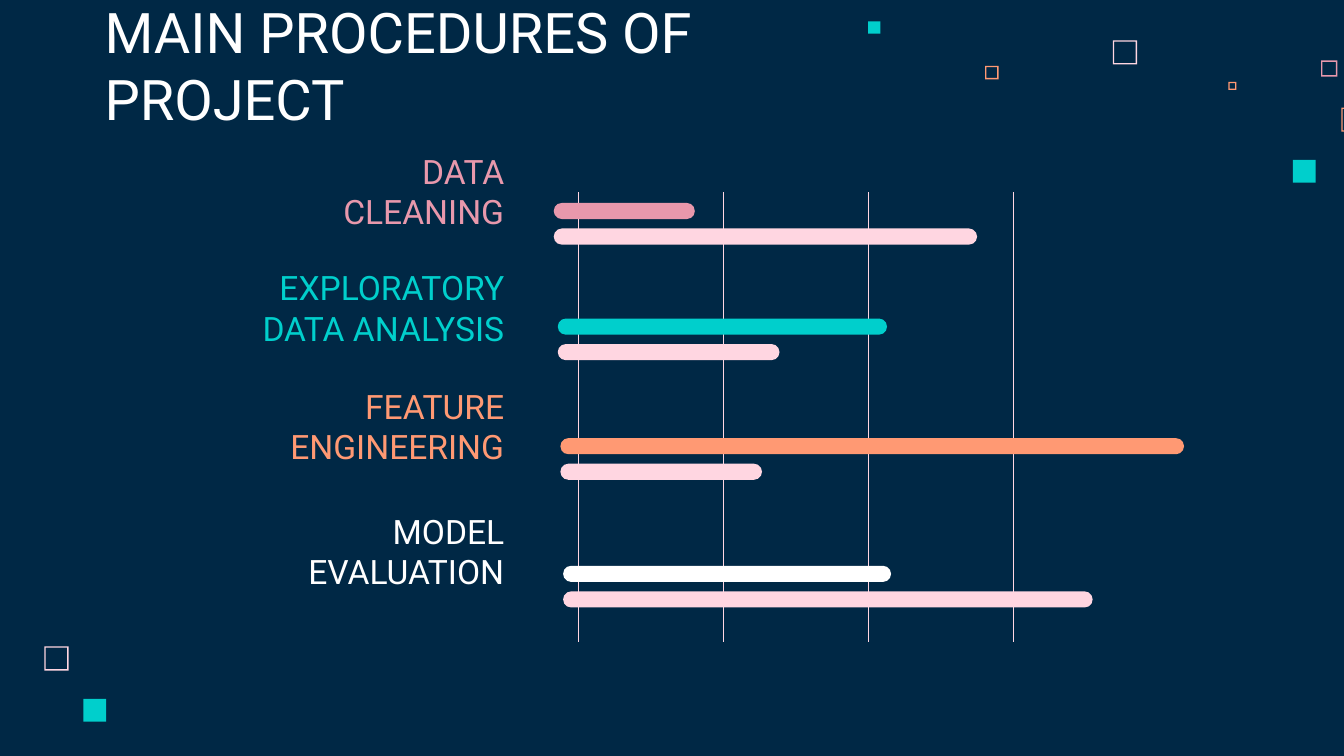
import pptx
import pptx.util
import pptx.dml.color
import pptx.enum.shapes
import pptx.enum.text
import pptx.oxml.ns
import lxml.etree

Inches, Pt = pptx.util.Inches, pptx.util.Pt
SHAPE = pptx.enum.shapes.MSO_SHAPE
ALIGN = pptx.enum.text.PP_ALIGN

THEME = {
    "navy": "002845", "white": "FFFFFF", "blush": "FFD6E1", "rose": "E898AC",
    "teal": "00CFCC", "orange": "FF9973",
    "font": "Roboto", "title_size": 30, "label_size": 18, "grid_width": 0.25,
}

TITLE = "MAIN PROCEDURES OF PROJECT"
# label, colour, label top, bars left, bars top, main length, second length
PROCEDURES = [
    ("DATA CLEANING", "rose", 1.39, 4.12, 1.51, 1.05, 3.15),
    ("EXPLORATORY DATA ANALYSIS", "teal", 2.26, 4.15, 2.37, 2.45, 1.65),
    ("FEATURE ENGINEERING", "orange", 3.14, 4.17, 3.26, 4.64, 1.5),
    ("MODEL EVALUATION", "white", 4.07, 4.19, 4.21, 2.44, 3.94),
]
# left, top, side, colour, hollow
SQUARES = [
    (8.28, 0.3, 0.18, "blush", True),
    (9.83, 0.45, 0.12, "rose", True),
    (9.14, 0.61, 0.06, "orange", True),
    (9.98, 0.8, 0.18, "orange", True),
    (9.62, 1.19, 0.17, "teal", False),
    (7.33, 0.49, 0.1, "orange", True),
    (6.46, 0.16, 0.09, "teal", False),
    (0.33, 4.81, 0.18, "blush", True),
    (0.62, 5.2, 0.17, "teal", False),
]
BAR_HEIGHT, BAR_PITCH = 0.12, 0.19
GRID_LEFT, GRID_STEP, GRID_COUNT = 4.3, 1.08, 4
GRID_TOP, GRID_BOTTOM = 1.43, 4.78
FRAME_WIDTH = 0.01


def color(name):
    return pptx.dml.color.RGBColor.from_string(THEME[name])


def add_filled(slide, kind, left, top, width, height, fill, adjust=None):
    sp = slide.shapes.add_shape(
        kind, Inches(left), Inches(top), Inches(width), Inches(height))
    sp.shadow.inherit = False
    sp.fill.solid()
    sp.fill.fore_color.rgb = color(fill)
    sp.line.fill.background()
    if adjust is not None:
        sp.adjustments[0] = adjust


def add_text(slide, text, left, top, width, height, size, fill, align):
    sp = slide.shapes.add_textbox(
        Inches(left), Inches(top), Inches(width), Inches(height))
    tf = sp.text_frame
    tf.word_wrap = True
    tf.vertical_anchor = pptx.enum.text.MSO_ANCHOR.BOTTOM
    tf.margin_left = tf.margin_right = Inches(0.1)
    tf.margin_top = tf.margin_bottom = Inches(0.1)
    p = tf.paragraphs[0]
    p.alignment = align
    r = p.add_run()
    r.text = text
    r.font.name = THEME["font"]
    r.font.size = Pt(THEME[size])
    r.font.color.rgb = color(fill)


def add_grid_line(slide, x):
    line = slide.shapes.add_connector(
        pptx.enum.shapes.MSO_CONNECTOR.STRAIGHT,
        Inches(x), Inches(GRID_TOP), Inches(x), Inches(GRID_BOTTOM))
    line.line.color.rgb = color("blush")
    line.line.width = Pt(THEME["grid_width"])
    sp_pr = line._element.spPr
    lxml.etree.SubElement(sp_pr, pptx.oxml.ns.qn("a:effectLst"))


def main():
    prs = pptx.Presentation()
    # Widescreen, 16 to 9
    prs.slide_width = Inches(10)
    prs.slide_height = Inches(10 * 9 / 16)
    slide = prs.slides.add_slide(prs.slide_layouts[6])
    slide.background.fill.solid()
    slide.background.fill.fore_color.rgb = color("navy")

    # Scattered squares
    for left, top, side, fill, hollow in SQUARES:
        kind = SHAPE.FRAME if hollow else SHAPE.RECTANGLE
        adjust = FRAME_WIDTH / side if hollow else None
        add_filled(slide, kind, left, top, side, side, fill, adjust)

    # Title
    add_text(slide, TITLE, 0.68, 0.45, 5.71, 0.63,
             "title_size", "white", ALIGN.LEFT)

    # Grid behind the bars
    for i in range(GRID_COUNT):
        add_grid_line(slide, GRID_LEFT + i * GRID_STEP)

    # Procedures: a label and a pair of bars each
    for label, fill, label_top, left, top, first, second in PROCEDURES:
        for i, (length, bar_fill) in enumerate([(first, fill), (second, "blush")]):
            add_filled(slide, SHAPE.ROUNDED_RECTANGLE, left, top + i * BAR_PITCH,
                       length, BAR_HEIGHT, bar_fill, 0.5)
        add_text(slide, label, 1.8, label_top, 2.05, 0.43,
                 "label_size", fill, ALIGN.RIGHT)

    prs.save("out.pptx")


if __name__ == "__main__":
    main()
